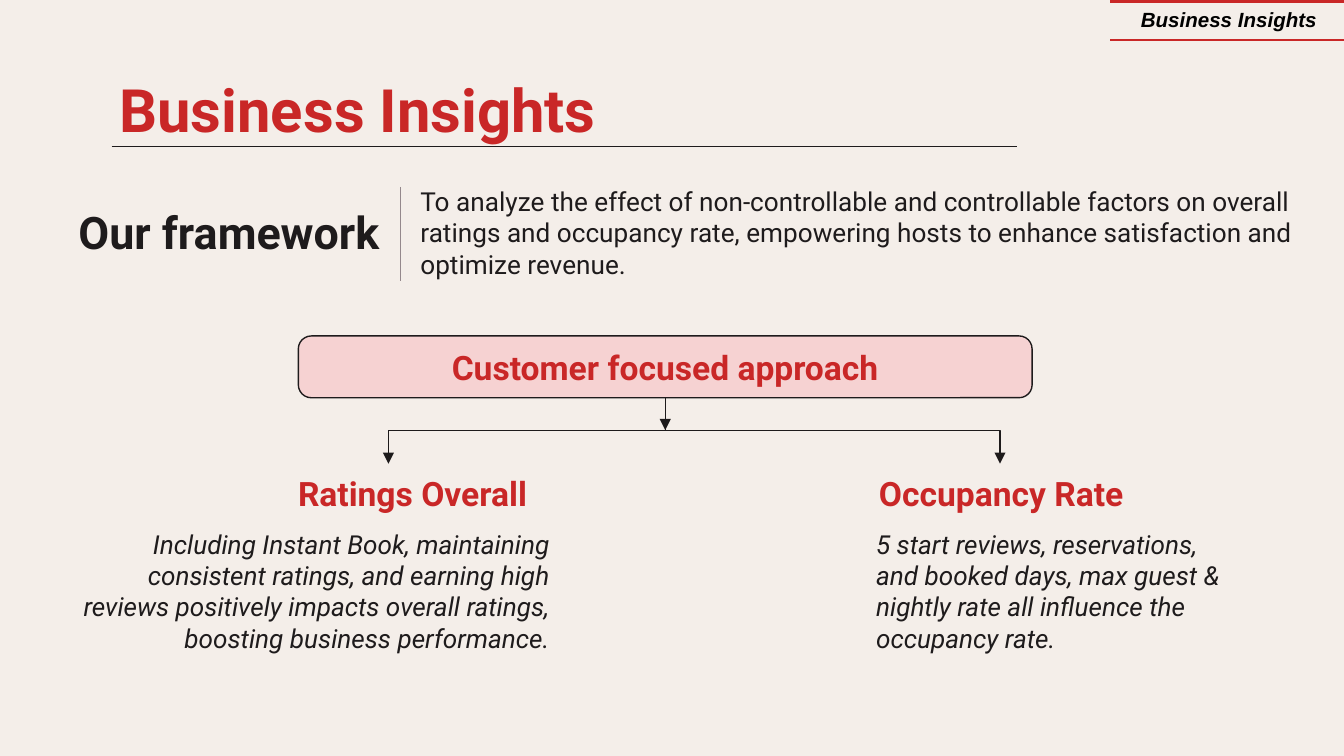
from dataclasses import dataclass

from lxml.etree import SubElement
from pptx import Presentation
from pptx.dml.color import RGBColor
from pptx.enum.shapes import MSO_CONNECTOR as Connector, MSO_SHAPE as Shape
from pptx.enum.text import MSO_ANCHOR as Anchor, PP_ALIGN as Align
from pptx.oxml.ns import qn
from pptx.util import Inches, Pt


@dataclass(frozen=True)
class Theme:
    paper: str = "F4EEE9"
    red: str = "C92727"
    pink: str = "F6D2D2"
    ink: str = "1E1B1C"
    arrow: str = "1D1A1B"
    grey: str = "94888C"
    black: str = "000000"
    font: str = "Roboto"
    tag_font: str = "Arial"
    title: float = 32
    section: float = 24
    heading: float = 18
    body: float = 14
    tag: float = 11
    thin: float = 0.75


THEME = Theme()
TITLE = {"size": THEME.title, "color": THEME.red, "bold": True}
SECTION = {"size": THEME.section, "color": THEME.ink, "bold": True}
HEADING = {"size": THEME.heading, "color": THEME.red, "bold": True}
BODY = {"size": THEME.body, "color": THEME.ink}
NOTE = {**BODY, "italic": True}
TAG = {"size": THEME.tag, "color": THEME.black, "bold": True, "italic": True, "name": THEME.tag_font}


def color(value):
    return RGBColor.from_string(value)


def write(frame, text, style, align=Align.LEFT):
    para = frame.paragraphs[0]
    para.alignment = align
    run = para.add_run()
    run.text = text
    values = {"name": THEME.font, **style}
    run.font.color.rgb = color(values.pop("color"))
    values["size"] = Pt(values["size"])
    for name, value in values.items():
        setattr(run.font, name, value)


def set_frame(frame, anchor, inset):
    values = {
        "word_wrap": True,
        "vertical_anchor": anchor,
        "margin_left": Inches(0.1),
        "margin_right": Inches(0.1),
        "margin_top": Inches(inset),
        "margin_bottom": Inches(inset),
    }
    for name, value in values.items():
        setattr(frame, name, value)


def add_text(page, box, text, style, align=Align.LEFT, anchor=Anchor.TOP, inset=0.1):
    shape = page.shapes.add_textbox(*map(Inches, box))
    set_frame(shape.text_frame, anchor, inset)
    write(shape.text_frame, text, style, align)


def add_line(page, start, end, stroke, width=THEME.thin, arrow=False, kind=Connector.STRAIGHT):
    line = page.shapes.add_connector(kind, *map(Inches, (*start, *end)))
    line.line.color.rgb = color(stroke)
    line.line.width = Pt(width)
    properties = line._element.spPr
    if arrow:
        SubElement(properties.find(qn("a:ln")), qn("a:tailEnd"), type="triangle")
    SubElement(properties, qn("a:effectLst"))
    return line


def add_branch(page, start, end):
    run, drop = end[0] - start[0], end[1] - start[1]
    side = 1 if run > 0 else -1
    center_x, center_y = (start[0] + end[0]) / 2, (start[1] + end[1]) / 2
    begin = (center_x + side * drop / 2, center_y - abs(run) / 2)
    finish = (center_x - side * drop / 2, center_y + abs(run) / 2)
    branch = add_line(page, begin, finish, THEME.arrow, arrow=True, kind=Connector.ELBOW)
    degrees = 270 if side > 0 else 90
    branch._element.spPr.find(qn("a:xfrm")).set("rot", str(degrees * 60000))


def add_corner_tag(page, box):
    table = page.shapes.add_table(1, 1, *map(Inches, box)).table
    table.first_row = table.horz_banding = False
    cell = table.cell(0, 0)
    properties = cell._tc.get_or_add_tcPr()
    for edge in ("lnL", "lnR", "lnT", "lnB"):
        visible = edge in ("lnT", "lnB")
        border = SubElement(properties, qn(f"a:{edge}"), w=str(Pt(1.5) if visible else 0))
        fill = SubElement(border, qn("a:solidFill" if visible else "a:noFill"))
        if visible:
            SubElement(fill, qn("a:srgbClr"), val=THEME.red)
    cell.fill.background()
    cell.vertical_anchor = Anchor.MIDDLE
    cell.margin_left, cell.margin_right = Inches(0.1), Inches(0.2)
    write(cell.text_frame, "Business Insights", TAG, Align.RIGHT)


def add_header(page, box):
    left, top, width, height = box
    add_text(page, box, "Business Insights", TITLE, anchor=Anchor.MIDDLE)
    rule_y = top + height - 0.03
    add_line(page, (left + 0.04, rule_y), (left + 6.78, rule_y), THEME.ink)


def add_framework(page, box):
    left, top, width, height = box
    add_text(page, (left, top, 2.59, 0.9), "Our framework", SECTION, Align.RIGHT, Anchor.BOTTOM, 0)
    divider = left + 2.65
    add_line(page, (divider, top + 0.37), (divider, top + 1.07), THEME.grey, 1)
    add_text(
        page,
        (left + 2.7, top + 0.26, width - 2.7, height - 0.26),
        "To analyze the effect of non-controllable and controllable factors on overall ratings "
        "and occupancy rate, empowering hosts to enhance satisfaction and optimize revenue.",
        BODY,
    )


def add_approach(page, box):
    left, top, width, height = box
    bar = page.shapes.add_shape(Shape.ROUNDED_RECTANGLE, *map(Inches, box))
    bar.adjustments[0] = 0.21
    bar.shadow.inherit = False
    bar.fill.solid()
    bar.fill.fore_color.rgb = color(THEME.pink)
    bar.line.color.rgb = color(THEME.ink)
    bar.line.width = Pt(THEME.thin)
    set_frame(bar.text_frame, Anchor.MIDDLE, 0.1)
    write(bar.text_frame, "Customer focused approach", HEADING, Align.CENTER)
    stem = (left + width / 2, top + height)
    add_line(page, stem, (stem[0], stem[1] + 0.24), THEME.arrow, arrow=True)
    for target in (2.89, 7.44):
        add_branch(page, stem, (target, stem[1] + 0.49))


def add_outcome(page, box, heading, note, note_left, note_width, align):
    left, top, width, height = box
    add_text(page, (left, top, width, 0.46), heading, HEADING, Align.CENTER, Anchor.MIDDLE, 0)
    add_text(page, (left + note_left, top + 0.44, note_width, height - 0.44), note, NOTE, align, inset=0.05)


def main():
    deck = Presentation()
    deck.slide_width = Inches(10)
    deck.slide_height = deck.slide_width * 9 // 16
    page = deck.slides.add_slide(deck.slide_layouts[6])
    page.background.fill.solid()
    page.background.fill.fore_color.rgb = color(THEME.paper)
    add_approach(page, (2.22, 2.5, 5.46, 0.46))
    add_framework(page, (0.33, 1.02, 9.44, 1.35))
    add_corner_tag(page, (8.26, 0.01, 1.74, 0.29))
    add_header(page, (0.79, 0.49, 8.43, 0.63))
    outcomes = [
        (1.43, "Ratings Overall",
         "Including Instant Book, maintaining consistent ratings, and earning high reviews "
         "positively impacts overall ratings, boosting business performance.",
         -0.99, 3.75, Align.RIGHT),
        (5.81, "Occupancy Rate",
         "5 start reviews, reservations, and booked days, max guest & nightly rate all "
         "influence the occupancy rate.",
         0.61, 2.91, Align.LEFT),
    ]
    for left, *content in outcomes:
        add_outcome(page, (left, 3.44, 3.28, 1.48), *content)
    deck.save("out.pptx")


if __name__ == "__main__":
    main()
